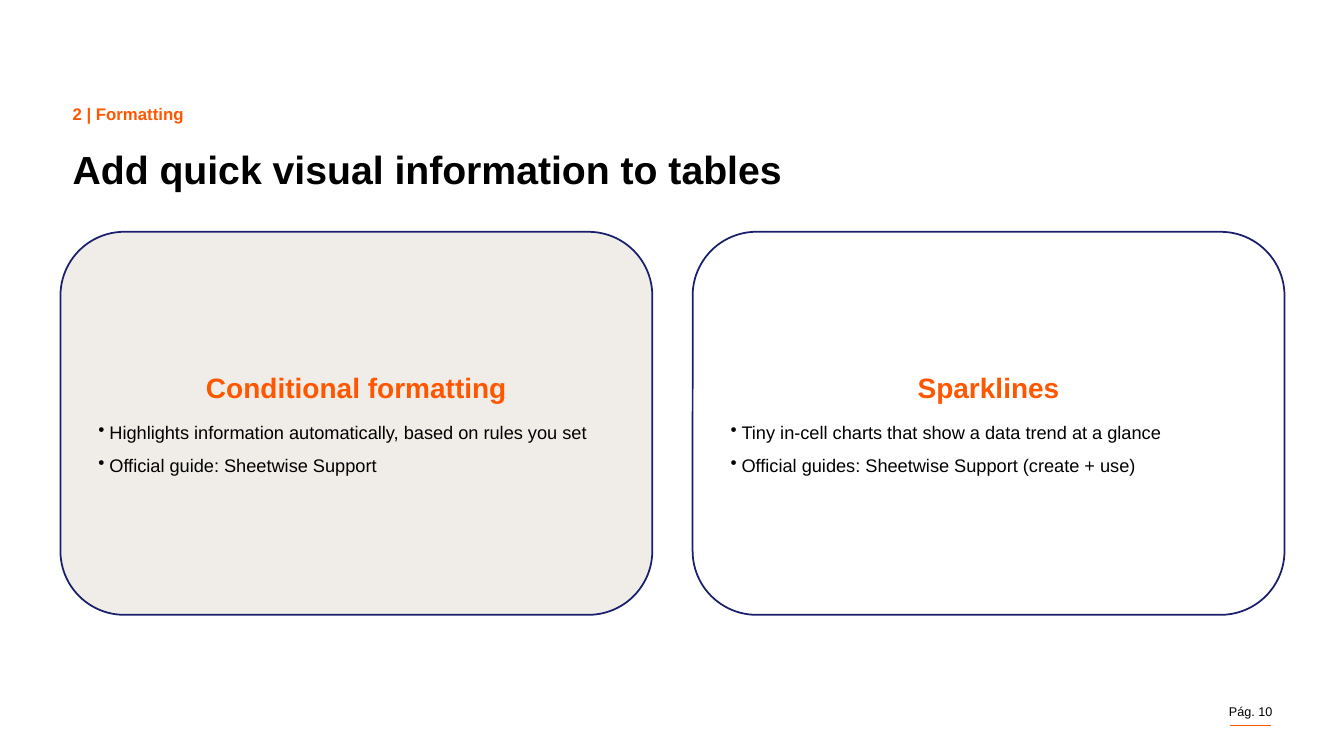
from dataclasses import dataclass

from pptx import Presentation
from pptx import util as u
from pptx.dml.color import RGBColor
from pptx.enum import shapes, text
from pptx.oxml import xmlchemy
from pptx.oxml.ns import qn
from pptx.shapes.autoshape import Shape
from pptx.slide import Slide
from pptx.text.text import TextFrame, _Paragraph as Paragraph
from lxml import etree


@dataclass(frozen=True)
class Theme:
    font: str = "Arial"
    accent: str = "FF5700"
    ink: str = "000000"
    outline: str = "1A1F6C"
    sand: str = "F0ECE8"
    white: str = "FFFFFF"
    title_size: float = 28
    heading_size: float = 20
    body_size: float = 13
    section_size: float = 12
    page_size: float = 9


@dataclass(frozen=True)
class Label:
    content: str
    left: float
    top: float
    width: float
    height: float
    size: float
    color: str
    bold: bool = False
    align: text.PP_ALIGN = text.PP_ALIGN.LEFT
    line_spacing: float = 1.0


@dataclass(frozen=True)
class Card:
    heading: str
    points: tuple[str, ...]
    fill: str


THEME = Theme()

LABELS = (
    Label("Pág. 10", 11.85, 6.98, 0.77, 0.15, THEME.page_size, THEME.ink,
          align=text.PP_ALIGN.RIGHT),
    Label("Add quick visual information to tables", 0.72, 1.49, 11.89, 0.42,
          THEME.title_size, THEME.ink, bold=True, line_spacing=0.9),
    Label("2 | Formatting", 0.72, 1.03, 1.92, 0.22,
          THEME.section_size, THEME.accent, bold=True),
)

CARDS = (
    Card("Conditional formatting",
         ("Highlights information automatically, based on rules you set",
          "Official guide: Sheetwise Support"),
         THEME.sand),
    Card("Sparklines",
         ("Tiny in-cell charts that show a data trend at a glance",
          "Official guides: Sheetwise Support (create + use)"),
         THEME.white),
)

CARD_LEFT, CARD_TOP = 0.6, 2.3
CARD_WIDTH, CARD_HEIGHT, CARD_GAP = 5.87, 3.8, 0.4
CARD_INSET = 0.19
BULLET_INDENT = 0.11


def style(paragraph: Paragraph, size: float, color: str, bold: bool = False) -> None:
    font = paragraph.font
    font.name = THEME.font
    font.size = u.Pt(size)
    font.bold = bold
    font.color.rgb = RGBColor.from_string(color)


def set_insets(frame: TextFrame, inset: float) -> None:
    frame.word_wrap = True
    frame.margin_left = frame.margin_right = u.Inches(inset)
    frame.margin_top = frame.margin_bottom = u.Inches(inset)


def add_bullet(paragraph: Paragraph) -> None:
    """Give the paragraph a round bullet with a hanging indent."""
    properties = paragraph._p.get_or_add_pPr()
    indent = u.Inches(BULLET_INDENT)
    properties.set("marL", str(indent))
    properties.set("indent", str(-indent))
    etree.SubElement(properties, qn("a:buChar")).set("char", "•")


def add_label(slide: Slide, label: Label) -> None:
    box = slide.shapes.add_textbox(u.Inches(label.left), u.Inches(label.top),
                                   u.Inches(label.width), u.Inches(label.height))
    set_insets(box.text_frame, 0)
    paragraph = box.text_frame.paragraphs[0]
    paragraph.text = label.content
    paragraph.alignment = label.align
    paragraph.line_spacing = label.line_spacing
    style(paragraph, label.size, label.color, label.bold)


def add_card(slide: Slide, card: Card, left: float) -> Shape:
    shape = slide.shapes.add_shape(
        shapes.MSO_SHAPE.ROUNDED_RECTANGLE, u.Inches(left), u.Inches(CARD_TOP),
        u.Inches(CARD_WIDTH), u.Inches(CARD_HEIGHT))
    shape.shadow.inherit = False
    shape.fill.solid()
    shape.fill.fore_color.rgb = RGBColor.from_string(card.fill)
    shape.line.color.rgb = RGBColor.from_string(THEME.outline)
    shape.line.width = u.Pt(1.25)

    frame = shape.text_frame
    set_insets(frame, CARD_INSET)
    frame.vertical_anchor = text.MSO_ANCHOR.MIDDLE
    heading = frame.paragraphs[0]
    heading.text = card.heading
    heading.alignment = text.PP_ALIGN.CENTER
    heading.space_after = u.Pt(12)
    style(heading, THEME.heading_size, THEME.accent, bold=True)
    for point in card.points:
        paragraph = frame.add_paragraph()
        paragraph.text = point
        paragraph.alignment = text.PP_ALIGN.LEFT
        paragraph.space_after = u.Pt(8)
        add_bullet(paragraph)
        style(paragraph, THEME.body_size, THEME.ink)
    return shape


def add_page_rule(slide: Slide) -> None:
    rule = slide.shapes.add_connector(
        shapes.MSO_CONNECTOR.STRAIGHT, u.Inches(12.61), u.Inches(7.2),
        u.Inches(12.2), u.Inches(7.2))
    rule.line.color.rgb = RGBColor.from_string(THEME.accent)
    rule.line.width = u.Pt(0.5)
    etree.SubElement(rule._element.spPr, qn("a:effectLst"))


def main() -> None:
    presentation = Presentation()
    presentation.slide_width = u.Inches(13.33)
    presentation.slide_height = u.Inches(7.5)
    slide = presentation.slides.add_slide(presentation.slide_layouts[6])

    add_page_rule(slide)
    for label in LABELS:
        add_label(slide, label)
    for column, card in enumerate(CARDS):
        add_card(slide, card, CARD_LEFT + column * (CARD_WIDTH + CARD_GAP))
    presentation.save("out.pptx")


if __name__ == "__main__":
    main()
